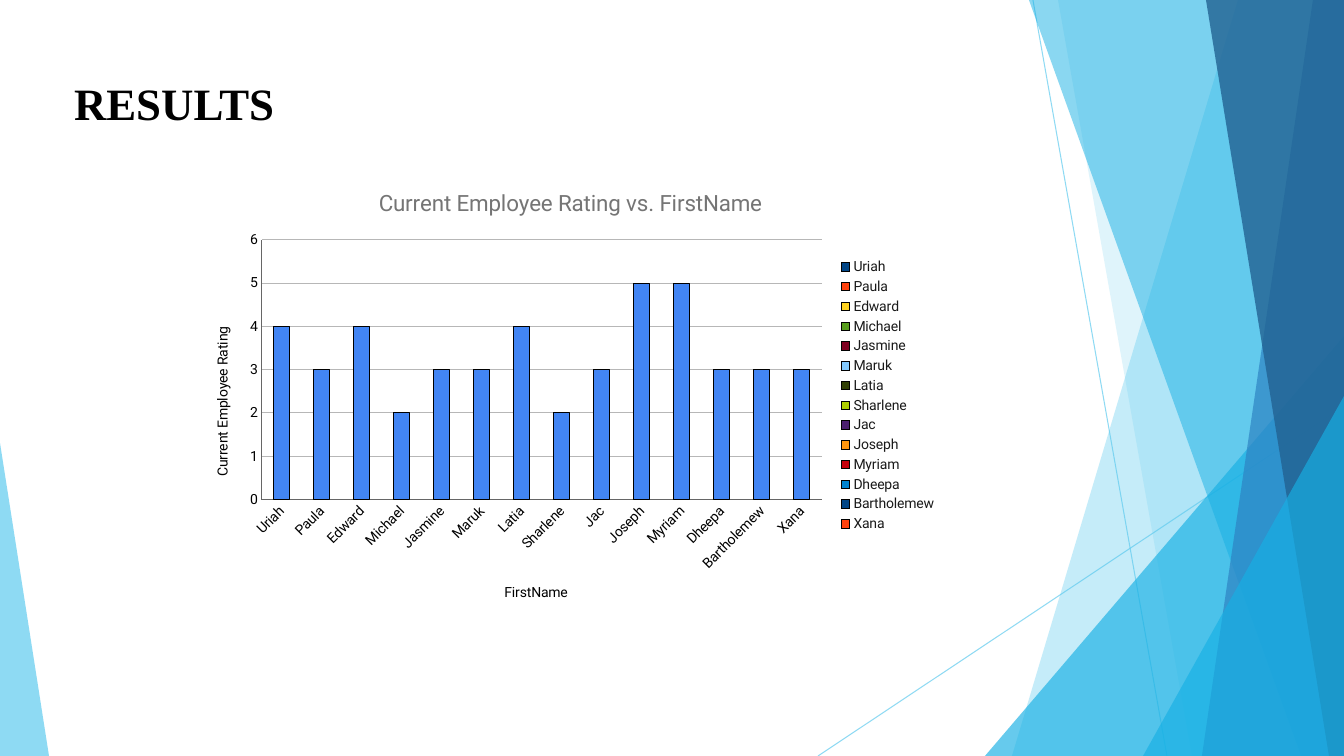
import lxml.etree
import pptx
import pptx.chart.data
import pptx.dml.color
import pptx.enum.chart
import pptx.enum.shapes
import pptx.enum.text
import pptx.oxml
import pptx.oxml.ns
import pptx.util

PX = 12192000 / 1344
WIDTH, HEIGHT = 1344, 756
qn = pptx.oxml.ns.qn


def px(*lengths):
    return [round(length * PX) for length in lengths]


def paint(format_, color, alpha=100):
    format_.solid()
    format_.fore_color.rgb = pptx.dml.color.RGBColor.from_string(color)
    if alpha < 100:
        for tint in format_._xPr.iter(qn("a:srgbClr")):
            lxml.etree.SubElement(tint, qn("a:alpha"), val=str(alpha * 1000))


deck = pptx.Presentation()
deck.slide_width, deck.slide_height = px(WIDTH, HEIGHT)
page = deck.slides.add_slide(deck.slide_layouts[6])
shapes = page.shapes

# Thin crossing lines
for ends in [(1033, 0, 1167, HEIGHT), (WIDTH, 406, 818, HEIGHT)]:
    line = shapes.add_connector(pptx.enum.shapes.MSO_CONNECTOR.STRAIGHT, *px(*ends))
    line.line.width = pptx.util.Pt(0.75)
    paint(line.line.fill, "5FCBEF", 70)
    lxml.etree.SubElement(line._element.spPr, qn("a:effectLst"))

# Translucent facets: bands run from top x to bottom x and on to the right edge,
# triangles have left, top, width, height and the place of the tip
facets = [
    ("band", (1238, 1012), "5FCBEF", 36),
    ("band", (1058, 1192), "5FCBEF", 20),
    ("triangle", (985, 336, 359, 420, 1), "17B0E4", 66),
    ("band", (1029, 1301), "17B0E4", 50),
    ("band", (1313, 1202), "2E83C3", 70),
    ("band", (1206, 1329), "226292", 80),
    ("triangle", (1143, 396, 201, 360, 1), "17B0E4", 66),
    ("triangle", (0, 443, 49, 313, 0), "5FCBEF", 70),
]
for kind, place, color, alpha in facets:
    if kind == "band":
        top, bottom = place
        outline = shapes.build_freeform(top, 0, scale=PX)
        outline.add_line_segments([(WIDTH, 0), (WIDTH, HEIGHT), (bottom, HEIGHT)], close=True)
        facet = outline.convert_to_shape()
    else:
        facet = shapes.add_shape(pptx.enum.shapes.MSO_SHAPE.ISOSCELES_TRIANGLE, *px(*place[:4]))
        facet.adjustments[0] = place[4]
    paint(facet.fill, color, alpha)
    facet.line.fill.background()
    facet.shadow.inherit = False

# Heading
box = shapes.add_textbox(*px(65, 66, 765, 65))
frame = box.text_frame
frame.word_wrap = True
frame.margin_left, frame.margin_top = px(9, 10)
para = frame.paragraphs[0]
para.text = "RESULTS"
para.font.name = "Times New Roman"
para.font.size = pptx.util.Pt(32)
para.font.bold = True
paint(para.font.fill, "000000")

# Column chart
ratings = {
    "Uriah": 4, "Paula": 3, "Edward": 4, "Michael": 2, "Jasmine": 3,
    "Maruk": 3, "Latia": 4, "Sharlene": 2, "Jac": 3, "Joseph": 5,
    "Myriam": 5, "Dheepa": 3, "Bartholemew": 3, "Xana": 3,
}
data = pptx.chart.data.CategoryChartData()
data.categories = list(ratings)
data.add_series("Current Employee Rating", list(ratings.values()))
chart = shapes.add_chart(
    pptx.enum.chart.XL_CHART_TYPE.COLUMN_CLUSTERED, *px(194, 170, 753, 451), data
).chart
chart.font.name = "Roboto"
chart.font.size = pptx.util.Pt(10)
paint(chart.font.fill, "000000")

plot = chart.plots[0]
plot.gap_width = 150
plot.vary_by_categories = True
columns = plot.series[0].format
paint(columns.fill, "4285F4")
paint(columns.line.fill, "000000")
columns.line.width = pptx.util.Pt(0.75)

# Axes and titles
names, values = chart.category_axis, chart.value_axis
for titled, title, size, color in [
    (chart, "Current Employee Rating vs. FirstName", 16, "757575"),
    (names, "FirstName", 10, "000000"),
    (values, "Current Employee Rating", 10, "000000"),
]:
    titled.has_title = True
    holder = titled.chart_title if titled is chart else titled.axis_title
    para = holder.text_frame.paragraphs[0]
    para.text = title
    para.font.name = "Roboto"
    para.font.size = pptx.util.Pt(size)
    para.font.bold = False
    paint(para.font.fill, color)
for axis in (names, values):
    axis.major_tick_mark = axis.minor_tick_mark = pptx.enum.chart.XL_TICK_MARK.NONE
    paint(axis.format.line.fill, "666666")
names.tick_labels.font.size = pptx.util.Pt(10)
names._element.find(qn("c:txPr")).find(qn("a:bodyPr")).set("rot", "-2700000")
values.minimum_scale, values.maximum_scale, values.major_unit = 0, 6, 1
grid = values.major_gridlines.format.line
paint(grid.fill, "B7B7B7")
grid.width = pptx.util.Pt(0.75)

# Legend
chart.has_legend = True
legend = chart.legend
legend.position = pptx.enum.chart.XL_LEGEND_POSITION.RIGHT
legend.include_in_layout = False
legend.font.name = "Roboto"
legend.font.size = pptx.util.Pt(10)
paint(legend.font.fill, "1A1A1A")

# Plot area, as shares of the chart's width and height
area = chart._chartSpace.chart.plotArea
for old in area.findall(qn("c:layout")):
    area.remove(old)
layout = lxml.etree.Element(qn("c:layout"))
area.insert(0, layout)
manual = lxml.etree.SubElement(layout, qn("c:manualLayout"))
for tag, setting in [
    ("layoutTarget", "inner"), ("xMode", "edge"), ("yMode", "edge"),
    ("x", "0.09"), ("y", "0.155"), ("w", "0.744"), ("h", "0.576"),
]:
    lxml.etree.SubElement(manual, qn("c:" + tag), val=setting)

deck.save("out.pptx")
